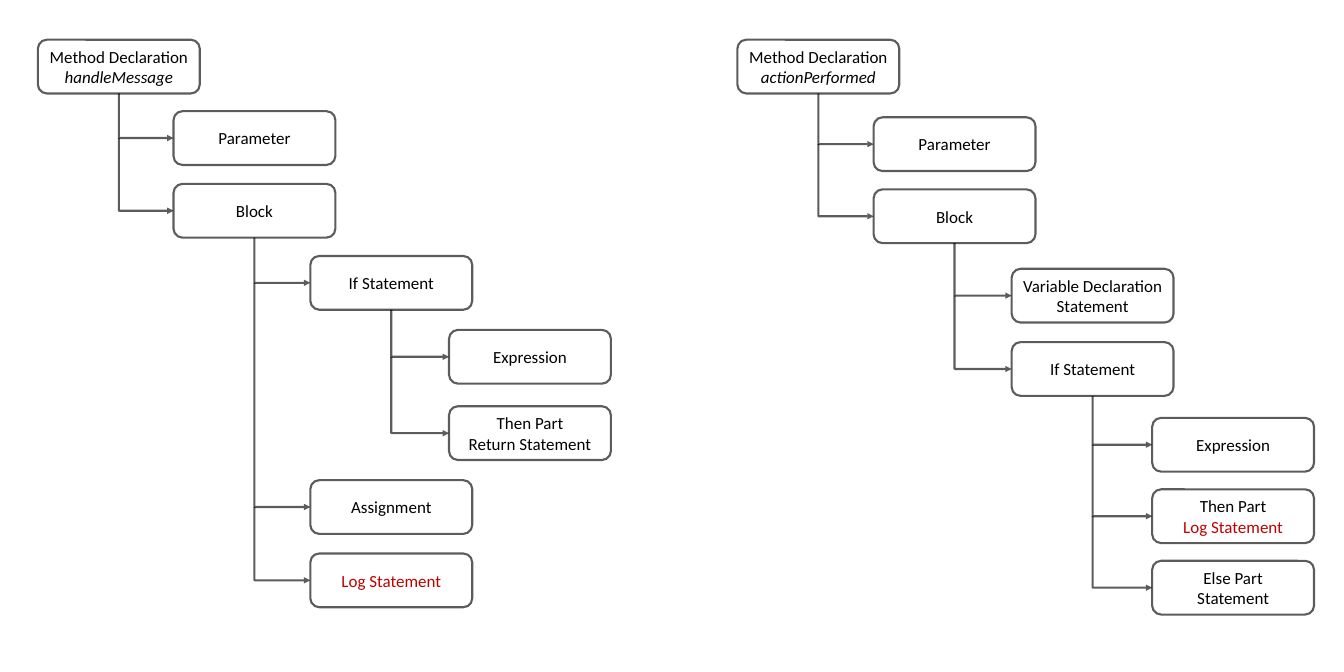
import pptx
import pptx.util
import pptx.dml.color
import pptx.enum.shapes
import pptx.enum.text
import pptx.oxml
import pptx.oxml.ns
import lxml.etree

Inches = pptx.util.Inches
qn = pptx.oxml.ns.qn
BOX_WIDTH, BOX_HEIGHT = 2.65, 0.88
BLACK, RED = "000000", "C00000"


def style_line(line, color=BLACK, width=2.5, opacity=63):
    line.width = pptx.util.Pt(width)
    line.color.rgb = pptx.dml.color.RGBColor.from_string(color)
    color_element = line._get_or_add_ln().find(".//" + qn("a:srgbClr"))
    lxml.etree.SubElement(color_element, qn("a:alpha"), val=str(opacity * 1000))


def write_text(paragraph, text, size=20, font="Calibri", color=BLACK, italic=False):
    paragraph.alignment = pptx.enum.text.PP_ALIGN.CENTER
    run = paragraph.add_run()
    run.text = text
    run.font.size = pptx.util.Pt(size)
    run.font.name = font
    run.font.italic = italic
    run.font.color.rgb = pptx.dml.color.RGBColor.from_string(color)


presentation = pptx.Presentation()
presentation.slide_width, presentation.slide_height = Inches(22), Inches(11)
slide = presentation.slides.add_slide(presentation.slide_layouts[6])

# Each tree: left edge of every level, then nodes as (level, top, lines)
trees = [
    ([0.62, 2.84, 5.08, 7.35], [
        (0, 0.65, ["Method Declaration", "handleMessage"]),
        (1, 1.82, ["Parameter"]),
        (1, 3.01, ["Block"]),
        (2, 4.19, ["If Statement"]),
        (3, 5.40, ["Expression"]),
        (3, 6.65, ["Then Part", "Return Statement"]),
        (2, 7.86, ["Assignment"]),
        (2, 9.06, ["Log Statement"]),
    ]),
    ([12.07, 14.30, 16.56, 18.86], [
        (0, 0.65, ["Method Declaration", "actionPerformed"]),
        (1, 1.92, ["Parameter"]),
        (1, 3.10, ["Block"]),
        (2, 4.40, ["Variable Declaration", "Statement"]),
        (2, 5.60, ["If Statement"]),
        (3, 6.84, ["Expression"]),
        (3, 8.01, ["Then Part", "Log Statement"]),
        (3, 9.18, ["Else Part", "Statement"]),
    ]),
]

for level_lefts, nodes in trees:
    branch_start = {}  # where the next connector into each level begins
    for level, top, lines in nodes:
        left, middle = level_lefts[level], top + BOX_HEIGHT / 2

        # Node box
        box = slide.shapes.add_shape(
            pptx.enum.shapes.MSO_SHAPE.ROUNDED_RECTANGLE,
            Inches(left), Inches(top), Inches(BOX_WIDTH), Inches(BOX_HEIGHT))
        box.shadow.inherit = False
        box.fill.background()
        style_line(box.line)
        frame = box.text_frame
        frame.word_wrap = True
        frame.vertical_anchor = pptx.enum.text.MSO_ANCHOR.MIDDLE
        for index, text in enumerate(lines):
            paragraph = frame.add_paragraph() if index else frame.paragraphs[0]
            write_text(paragraph, text, italic=level == 0 and index == 1,
                       color=RED if text == "Log Statement" else BLACK)

        # Elbow arrow from the parent, or from the previous sibling's branch
        if level:
            start_x = level_lefts[level - 1] + BOX_WIDTH / 2
            start_y = branch_start[level]
            across, down = left - start_x, middle - start_y
            center_x, center_y = start_x + across / 2, start_y + down / 2
            # The elbow is mirrored and turned so that it runs down, then right
            connector = slide.shapes.add_connector(
                pptx.enum.shapes.MSO_CONNECTOR.ELBOW,
                Inches(center_x + down / 2), Inches(center_y - across / 2),
                Inches(center_x - down / 2), Inches(center_y + across / 2))
            properties = connector._element.spPr
            properties.find(qn("a:xfrm")).set("rot", str(270 * 60000))
            properties.find(qn("a:prstGeom")).set("prst", "bentConnector2")
            style_line(connector.line)
            lxml.etree.SubElement(connector.line._get_or_add_ln(),
                                  qn("a:tailEnd"), type="triangle")
            lxml.etree.SubElement(properties, qn("a:effectLst"))

        branch_start[level] = middle
        branch_start[level + 1] = top + BOX_HEIGHT

presentation.save("out.pptx")
